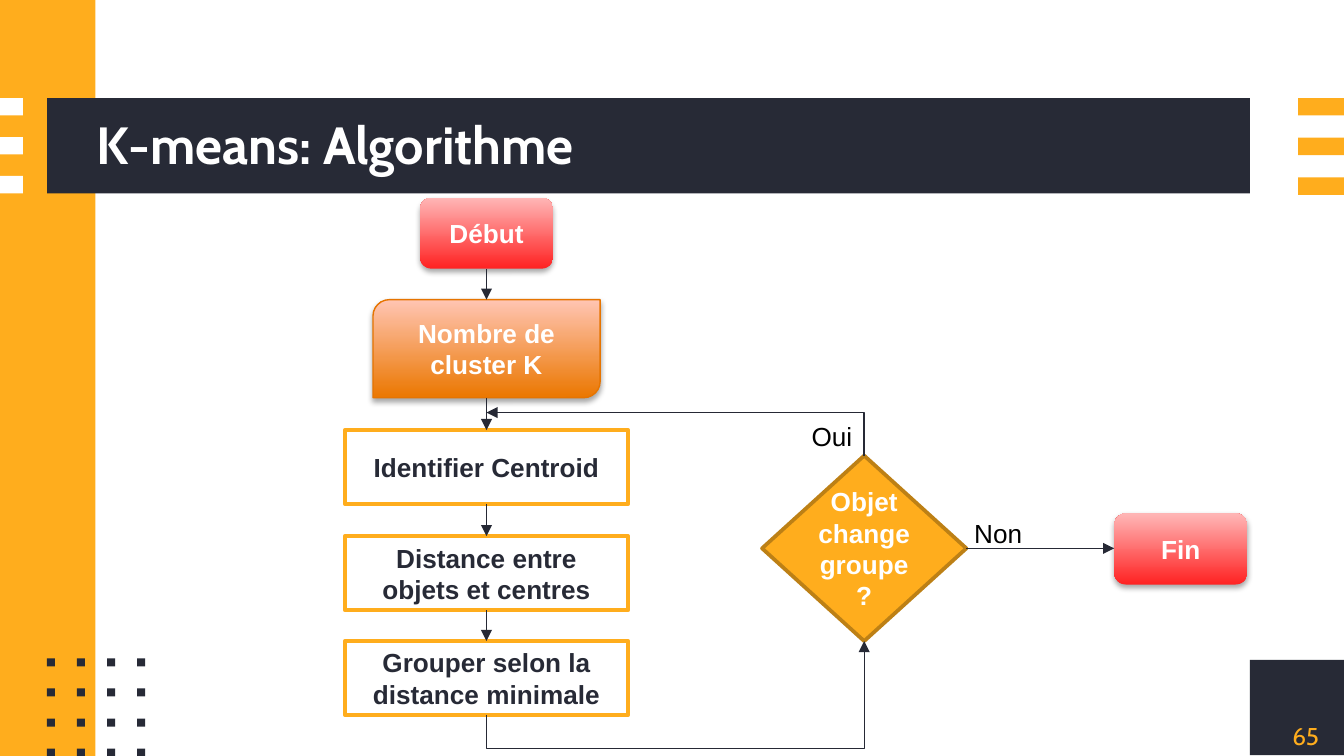
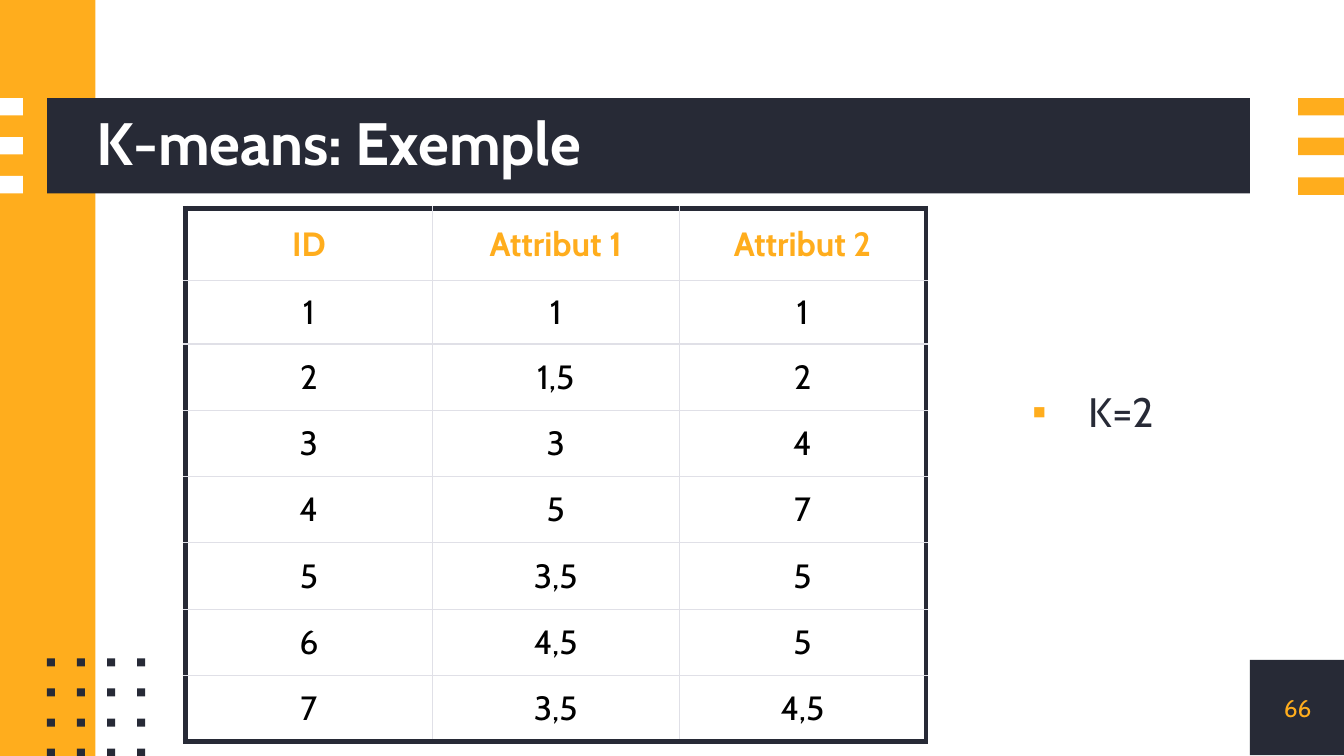
from itertools import pairwise, product

from lxml.etree import SubElement
from pptx import Presentation
from pptx.dml.color import RGBColor
from pptx.enum.shapes import MSO_CONNECTOR as LINK, MSO_SHAPE as SHAPE
from pptx.enum.text import MSO_ANCHOR as ANCHOR, MSO_AUTO_SIZE as AUTO, PP_ALIGN as ALIGN
from pptx.oxml.ns import qn
from pptx.util import Inches, Pt

SLIDE_WIDTH = 10
SLIDE_HEIGHT = SLIDE_WIDTH * 9 / 16

COLORS = {
    "dark": "272A36", "orange": "FFAD1D", "white": "FFFFFF", "black": "000000",
    "arrow": "262935", "grid": "E0E0E7", "diamond_edge": "BD8015", "input_edge": "E67400",
    "red": "FF2222", "pink": "FFB7B7", "burnt": "EB7700", "peach": "FFC5B3",
}
HEADING_FONT, FLOW_FONT = "Cabin", "Arial"

# Look of each kind of flowchart node: fill is one colour or a (bottom, top) gradient
NODE_STYLES = {
    "terminal": dict(shape=SHAPE.ROUNDED_RECTANGLE, fill=("red", "pink"), edge=None, text="white"),
    "input": dict(shape=SHAPE.ROUND_2_DIAG_RECTANGLE, fill=("burnt", "peach"),
                  edge=("input_edge", 0.75), text="white"),
    "step": dict(shape=SHAPE.RECTANGLE, fill="white", edge=("orange", 2), text="dark"),
    "decision": dict(shape=SHAPE.DIAMOND, fill="orange", edge=("diamond_edge", 2), text="white"),
}

# Main column, top to bottom: text, kind, top, width, height
COLUMN_X = 3.62
COLUMN = [
    ("Début", "terminal", 1.47, 0.99, 0.53),
    ("Nombre de cluster K", "input", 2.23, 1.69, 0.73),
    ("Identifier Centroid", "step", 3.2, 2.11, 0.55),
    ("Distance entre objets et centres", "step", 3.99, 2.11, 0.55),
    ("Grouper selon la distance minimale", "step", 4.77, 2.11, 0.55),
]
DECISION = ("Objet change groupe ?", "decision", (5.67, 3.39, 1.52, 1.38))
END = ("Fin", "terminal", (8.29, 3.82, 0.99, 0.53))
BRANCHES = [("Non", (7.15, 3.8, 0.81, 0.34)), ("Oui", (5.94, 3.08, 0.78, 0.34))]
LOOP_JOIN_Y = 3.07
LOOP_DIP = -45400

OBJECTS = [
    ("ID", "Attribut 1", "Attribut 2"),
    ("1", "1", "1"),
    ("2", "1,5", "2"),
    ("3", "3", "4"),
    ("4", "5", "7"),
    ("5", "3,5", "5"),
    ("6", "4,5", "5"),
    ("7", "3,5", "4,5"),
]
TABLE_BOX = (1.38, 1.55, 5.51, 3.97)
FIRST_ROWS = [0.54, 0.47]
CLUSTER_COUNT = "K=2"


def rgb(name):
    return RGBColor.from_string(COLORS[name])


def inches(box):
    return [Inches(value) for value in box]


def write(paragraph, text, size, color, font=FLOW_FONT, bold=False):
    run = paragraph.add_run()
    run.text = text
    run.font.size, run.font.name, run.font.bold = Pt(size), font, bold
    run.font.color.rgb = rgb(color)


def prepare(frame, margin=None, anchor=ANCHOR.MIDDLE):
    """Set wrapping, anchor and margins; return the first paragraph."""
    frame.word_wrap, frame.auto_size, frame.vertical_anchor = True, AUTO.NONE, anchor
    if margin is not None:
        frame.margin_left = frame.margin_top = Inches(margin)
        frame.margin_right = frame.margin_bottom = Inches(margin)
    return frame.paragraphs[0]


def add_block(slide, box, color):
    block = slide.shapes.add_shape(SHAPE.RECTANGLE, *inches(box))
    block.shadow.inherit = False
    block.fill.solid()
    block.fill.fore_color.rgb = rgb(color)
    block.line.fill.background()


def decorate_layout(layout, slide):
    """Draw the shared bands and dots, then hand them over to the layout."""
    for placeholder in list(layout.placeholders)[1:]:
        placeholder.element.getparent().remove(placeholder.element)
    add_block(slide, (9.3, 4.91, 0.71, 0.71), "dark")
    add_block(slide, (0, 0, 0.71, SLIDE_HEIGHT), "orange")
    add_block(slide, (0.35, 0.73, 8.95, 0.71), "dark")
    for i in range(3):
        add_block(slide, (0, 0.73 + 0.29 * i, 0.17, 0.13), "white")
        add_block(slide, (9.66, 0.73 + 0.59 * i / 2, 0.34, 0.13), "orange")
    for col, row in product(range(4), repeat=2):
        add_block(slide, (0.35 + 0.67 * col / 3, 4.9 + 0.67 * row / 3, 0.06, 0.06), "dark")
    tree = layout.placeholders[0].element.getparent()
    for block in list(slide.shapes)[1:]:
        tree.append(block.element)


def set_heading(slide, text, size, box, number, number_box):
    title = slide.shapes.title
    title.left, title.top, title.width, title.height = inches(box)
    paragraph = prepare(title.text_frame, 0)
    paragraph.alignment, paragraph.line_spacing = ALIGN.LEFT, 0.9
    write(paragraph, text, size, "white", HEADING_FONT, True)
    page = slide.shapes.add_textbox(*inches(number_box))
    paragraph = prepare(page.text_frame, 0)
    paragraph.alignment = ALIGN.CENTER
    write(paragraph, number, 13, "orange", HEADING_FONT)


def add_soft_shadow(shape):
    effects = shape.element.spPr.find(qn("a:effectLst"))
    shadow = SubElement(effects, qn("a:outerShdw"), blurRad=str(Pt(3.1)), dist=str(Pt(1.8)),
                        dir="5400000", rotWithShape="0")
    color = SubElement(shadow, qn("a:srgbClr"), val=COLORS["black"])
    SubElement(color, qn("a:alpha"), val="35000")


def add_node(slide, text, kind, box):
    style = NODE_STYLES[kind]
    node = slide.shapes.add_shape(style["shape"], *inches(box))
    node.shadow.inherit = False
    if isinstance(style["fill"], tuple):
        node.fill.gradient()
        node.fill.gradient_angle = 90
        for stop, color, position in zip(node.fill.gradient_stops, style["fill"], (0, 1)):
            stop.color.rgb, stop.position = rgb(color), position
        add_soft_shadow(node)
    else:
        node.fill.solid()
        node.fill.fore_color.rgb = rgb(style["fill"])
    if style["edge"]:
        color, width = style["edge"]
        node.line.color.rgb, node.line.width = rgb(color), Pt(width)
    else:
        node.line.fill.background()
    paragraph = prepare(node.text_frame, 0 if kind == "decision" else None)
    paragraph.alignment = ALIGN.CENTER
    write(paragraph, text, 14, style["text"], bold=True)


def add_arrow(slide, start, end, link=LINK.STRAIGHT):
    arrow = slide.shapes.add_connector(link, *inches(start + end))
    arrow.line.color.rgb, arrow.line.width = rgb("arrow"), Pt(0.75)
    SubElement(arrow.line._get_or_add_ln(), qn("a:tailEnd"), type="triangle")
    SubElement(arrow.element.spPr, qn("a:effectLst"))
    return arrow


def add_turned_elbow(slide, start, end, preset, turn, flips, bend=None):
    """Elbow arrow that leaves vertically: its frame is turned by a quarter."""
    (x1, y1), (x2, y2) = start, end
    long, short = abs(x2 - x1), abs(y2 - y1)
    left, top = (x1 + x2 - short) / 2, (y1 + y2 - long) / 2
    elbow = add_arrow(slide, (left, top), (left + short, top + long), LINK.ELBOW)
    frame = elbow.element.spPr.find(qn("a:xfrm"))
    frame.set("rot", str(turn * 60000))
    for flip in flips:
        frame.set(flip, "1")
    geometry = elbow.element.spPr.find(qn("a:prstGeom"))
    geometry.set("prst", preset)
    if bend is not None:
        guides = geometry.find(qn("a:avLst"))
        SubElement(guides, qn("a:gd"), name="adj1", fmla=f"val {bend}")


def build_flowchart(slide):
    for text, kind, top, width, height in COLUMN:
        add_node(slide, text, kind, (COLUMN_X - width / 2, top, width, height))
    for node in (END, DECISION):
        add_node(slide, *node)

    for (*_, top, _, height), (_, _, next_top, _, _) in pairwise(COLUMN):
        add_arrow(slide, (COLUMN_X, top + height), (COLUMN_X, next_top))
    left, top, width, height = DECISION[2]
    middle_x, middle_y = left + width / 2, top + height / 2
    last_bottom = COLUMN[-1][2] + COLUMN[-1][4]
    add_turned_elbow(slide, (COLUMN_X, last_bottom), (middle_x, top + height),
                     "bentConnector3", 90, ("flipH", "flipV"), LOOP_DIP)
    add_turned_elbow(slide, (middle_x, top), (COLUMN_X, LOOP_JOIN_Y),
                     "bentConnector2", 270, ("flipV",))
    add_arrow(slide, (left + width, middle_y), (END[2][0], middle_y))

    for text, box in BRANCHES:
        label = slide.shapes.add_textbox(*inches(box))
        write(prepare(label.text_frame, anchor=ANCHOR.TOP), text, 14, "black")


def set_borders(cell, outer_sides):
    """Thick dark lines on the outer sides, thin grey ones elsewhere."""
    properties = cell._tc.get_or_add_tcPr()
    for side in "LRTB":
        color, width = ("dark", 3) if side in outer_sides else ("grid", 0.75)
        border = SubElement(properties, qn(f"a:ln{side}"), w=str(Pt(width)))
        fill = SubElement(border, qn("a:solidFill"))
        SubElement(fill, qn("a:srgbClr"), val=COLORS[color])


def build_objects_table(slide):
    rows, cols = len(OBJECTS), len(OBJECTS[0])
    table = slide.shapes.add_table(rows, cols, *inches(TABLE_BOX)).table
    table.first_row = table.horz_banding = False
    other_rows = rows - len(FIRST_ROWS)
    other_height = (TABLE_BOX[3] - sum(FIRST_ROWS)) / other_rows
    for row, height in zip(table.rows, FIRST_ROWS + [other_height] * other_rows):
        row.height = Inches(height)
    for r, c in product(range(rows), range(cols)):
        cell = table.cell(r, c)
        edges = {"L": c == 0, "R": c == cols - 1, "T": r == 0, "B": r == rows - 1}
        set_borders(cell, [side for side, outer in edges.items() if outer])
        cell.fill.background()
        cell.vertical_anchor = ANCHOR.MIDDLE
        cell.margin_left = cell.margin_right = Inches(0.1)
        cell.margin_top = cell.margin_bottom = Inches(0.07)
        paragraph = cell.text_frame.paragraphs[0]
        paragraph.alignment = ALIGN.CENTER
        header = r == 0
        write(paragraph, OBJECTS[r][c], 18, "orange" if header else "black", HEADING_FONT, header)


def build_cluster_count(slide):
    note = slide.shapes.add_textbox(*inches((7.6, 2.82, 1.42, 0.55)))
    paragraph = prepare(note.text_frame, 0, ANCHOR.TOP)
    properties = paragraph._p.get_or_add_pPr()
    properties.set("marL", str(Inches(0.5)))
    properties.set("indent", str(Inches(-0.42)))
    bullet_color = SubElement(properties, qn("a:buClr"))
    SubElement(bullet_color, qn("a:srgbClr"), val=COLORS["orange"])
    SubElement(properties, qn("a:buFont"), typeface=FLOW_FONT)
    SubElement(properties, qn("a:buChar"), char="▪")
    paragraph.line_spacing = 1.15
    write(paragraph, CLUSTER_COUNT, 22, "dark", HEADING_FONT)


def main():
    deck = Presentation()
    deck.slide_width, deck.slide_height = Inches(SLIDE_WIDTH), Inches(SLIDE_HEIGHT)
    layout = deck.slide_layouts[5]

    algorithm = deck.slides.add_slide(layout)
    decorate_layout(layout, algorithm)
    set_heading(algorithm, "K-means: Algorithme", 28, (0.72, 0.53, 10.01, 1.13),
                "65", (9.3, 4.91, 0.83, 1.13))
    build_flowchart(algorithm)

    example = deck.slides.add_slide(layout)
    set_heading(example, "K-means: Exemple", 32, (0.72, 0.73, 8.58, 0.71),
                "66", (9.3, 4.91, 0.71, 0.71))
    build_cluster_count(example)
    build_objects_table(example)

    deck.save("out.pptx")


if __name__ == "__main__":
    main()
